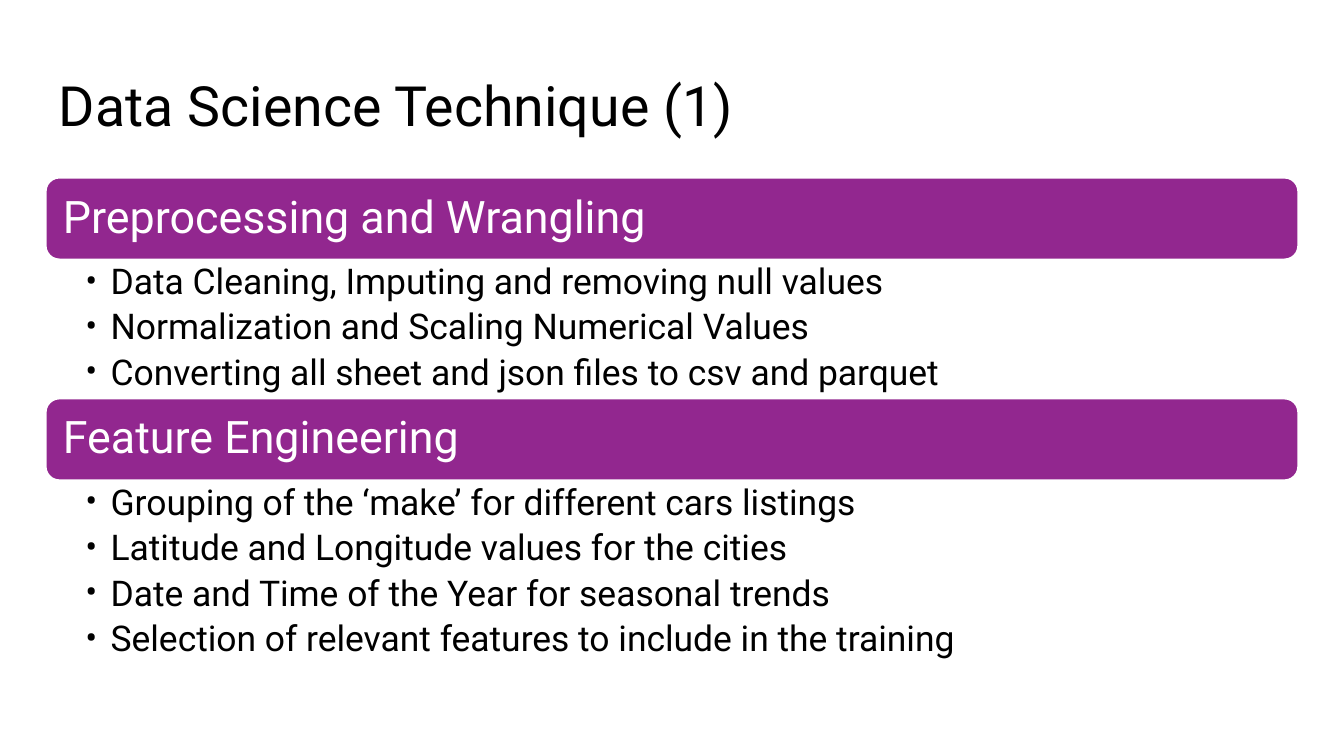
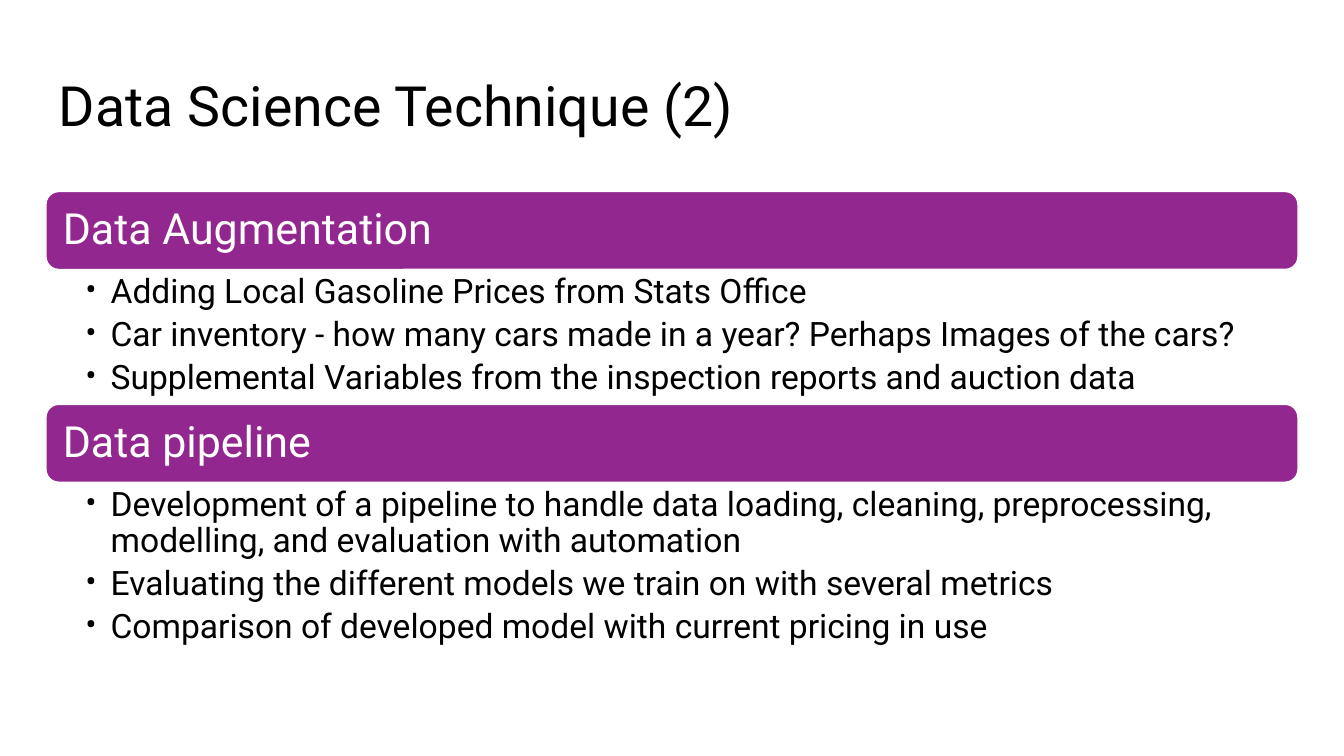
from lxml.etree import SubElement
from pptx import Presentation
from pptx.dml.color import RGBColor
from pptx.enum.shapes import MSO_SHAPE as Shape
from pptx.enum.text import MSO_ANCHOR as Anchor, PP_ALIGN as Align
from pptx.oxml.ns import qn
from pptx.util import Pt

PURPLE = RGBColor(0x92, 0x27, 0x8F)
WHITE = RGBColor(0xFF, 0xFF, 0xFF)
BLACK = RGBColor(0x00, 0x00, 0x00)
FONT = "Roboto"

LEFT, WIDTH = 24.5, 671
TITLE_BOX = (LEFT, 35, WIDTH, 49)
LINE_SPACING = 0.9
BULLET_INDENT = 13.5

# Each section: heading, height of its bullet list, bullets
SLIDES = [
    {
        "title": "Data Science Technique (1)",
        "top": 95.2, "band": 43.8, "heading_size": 24, "bullet_size": 19,
        "sections": [
            ("Preprocessing and Wrangling", 74.5, [
                "Data Cleaning, Imputing and removing null values",
                "Normalization and Scaling Numerical Values",
                "Converting all sheet and json files to csv and parquet",
            ]),
            ("Feature Engineering", 98, [
                "Grouping of the ‘make’ for different cars listings",
                "Latitude and Longitude values for the cities",
                "Date and Time of the Year for seasonal trends",
                "Selection of relevant features to include in the training",
            ]),
        ],
    },
    {
        "title": "Data Science Technique (2)",
        "top": 102.5, "band": 42, "heading_size": 23, "bullet_size": 18,
        "sections": [
            ("Data Augmentation", 72, [
                "Adding Local Gasoline Prices from Stats Office",
                "Car inventory - how many cars made in a year? "
                "Perhaps Images of the cars?",
                "Supplemental Variables from the inspection reports and auction data",
            ]),
            ("Data pipeline", 90, [
                "Development of a pipeline to handle data loading, cleaning, "
                "preprocessing, modelling, and evaluation with automation",
                "Evaluating the different models we train on with several metrics",
                "Comparison of developed model with current pricing in use",
            ]),
        ],
    },
]


def points(box):
    return [Pt(length) for length in box]


def set_frame(shape, insets, anchor=Anchor.TOP):
    frame = shape.text_frame
    frame.word_wrap = True
    frame.vertical_anchor = anchor
    (frame.margin_left, frame.margin_top,
     frame.margin_right, frame.margin_bottom) = points(insets)
    return frame


def write(paragraph, text, size, color):
    paragraph.alignment = Align.LEFT
    paragraph.line_spacing = LINE_SPACING
    run = paragraph.add_run()
    run.text = text
    run.font.name = FONT
    run.font.size = Pt(size)
    run.font.color.rgb = color


def add_bullet(paragraph):
    properties = paragraph._p.get_or_add_pPr()
    properties.set("marL", str(Pt(BULLET_INDENT)))
    properties.set("indent", str(-Pt(BULLET_INDENT)))
    SubElement(properties, qn("a:buFont"), typeface=FONT)
    SubElement(properties, qn("a:buChar"), char="•")


def add_title(slide, box, text):
    title = slide.shapes.add_textbox(*points(box))
    frame = set_frame(title, (7.2, 7.2, 7.2, 7.2))
    write(frame.paragraphs[0], text, 29.7, BLACK)


def add_band(slide, box, heading, size):
    band = slide.shapes.add_shape(Shape.ROUNDED_RECTANGLE, *points(box))
    band.shadow.inherit = False
    band.fill.solid()
    band.fill.fore_color.rgb = PURPLE
    band.line.color.rgb = WHITE
    band.line.width = Pt(1)
    frame = set_frame(band, (7.2, 7.2, 7.2, 7.2), Anchor.MIDDLE)
    write(frame.paragraphs[0], heading, size, WHITE)


def add_bullets(slide, box, bullets, size):
    frame = set_frame(slide.shapes.add_textbox(*points(box)), (21.3, 2.4, 13.3, 2.4))
    for index, text in enumerate(bullets):
        paragraph = frame.add_paragraph() if index else frame.paragraphs[0]
        write(paragraph, text, size, BLACK)
        paragraph.space_after = Pt(round(0.2 * size, 1))
        add_bullet(paragraph)


def add_technique_slide(presentation, content):
    slide = presentation.slides.add_slide(presentation.slide_layouts[6])
    add_title(slide, TITLE_BOX, content["title"])
    # Bands and lists stack directly below one another
    top, band = content["top"], content["band"]
    for heading, height, bullets in content["sections"]:
        add_band(slide, (LEFT, top, WIDTH, band), heading, content["heading_size"])
        add_bullets(slide, (LEFT, top + band, WIDTH, height), bullets,
                    content["bullet_size"])
        top += band + height


def main():
    presentation = Presentation()
    presentation.slide_width, presentation.slide_height = Pt(720), Pt(405)
    for content in SLIDES:
        add_technique_slide(presentation, content)
    presentation.save("out.pptx")


if __name__ == "__main__":
    main()
